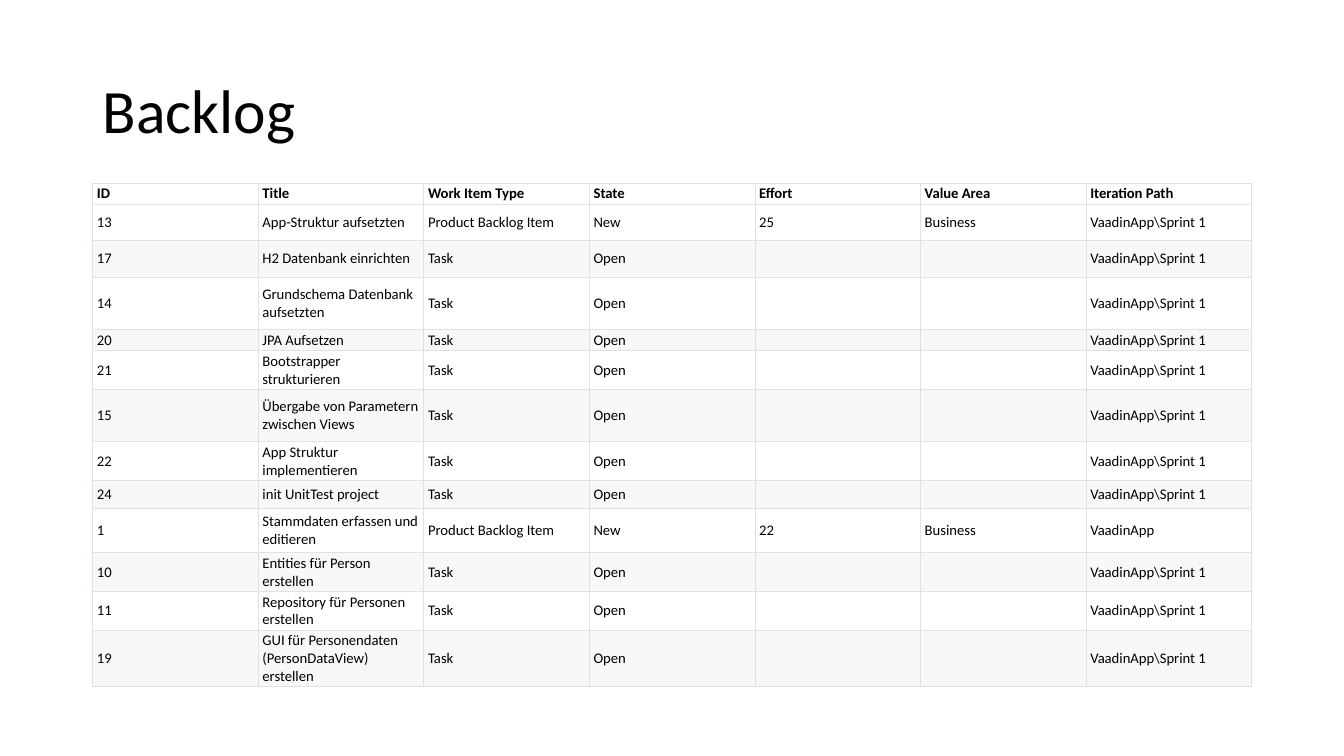
"""Build the Backlog slide: a title above a table of work items."""
from lxml.etree import SubElement
from pptx import Presentation
from pptx.dml.color import RGBColor
from pptx.enum.text import MSO_ANCHOR as Anchor
from pptx.oxml import parse_xml
from pptx.oxml.ns import nsdecls, qn
from pptx.util import Pt

TITLE = "Backlog"
HEADERS = ("ID", "Title", "Work Item Type", "State", "Effort", "Value Area", "Iteration Path")
SPRINT = r"VaadinApp\Sprint 1"


def task(number, title):
    """Return the cells of an open task in the sprint."""
    return number, title, "Task", "Open", "", "", SPRINT


def backlog_item(number, title, effort, iteration):
    """Return the cells of a new product backlog item."""
    return number, title, "Product Backlog Item", "New", effort, "Business", iteration


ITEMS = [
    (14.5, HEADERS),
    (26, backlog_item("13", "App-Struktur aufsetzten", "25", SPRINT)),
    (26, task("17", "H2 Datenbank einrichten")),
    (37.5, task("14", "Grundschema Datenbank aufsetzten")),
    (14.5, task("20", "JPA Aufsetzen")),
    (26, task("21", "Bootstrapper strukturieren")),
    (37.5, task("15", "Übergabe von Parametern zwischen Views")),
    (26, task("22", "App Struktur implementieren")),
    (20, task("24", "init UnitTest project")),
    (31.5, backlog_item("1", "Stammdaten erfassen und editieren", "22", "VaadinApp")),
    (20, task("10", "Entities für Person erstellen")),
    (26, task("11", "Repository für Personen erstellen")),
    (37.5, task("19", "GUI für Personendaten (PersonDataView) erstellen")),
]

THEME = {
    "font": "Calibri", "text": "000000", "row": "FFFFFF", "band": "F6F8FA",
    "border": "DFE2E5", "border_width": 0.75, "title_size": 44, "cell_size": 10.5,
}
LEFT, WIDTH = 66.24, 828
TITLE_TOP, TITLE_HEIGHT = 28.75, 104.4
TABLE_TOP = 130.8


def write(frame, text, size, bold=False, line_spacing=None):
    """Write one formatted paragraph into a text frame."""
    para = frame.paragraphs[0]
    para.line_spacing = line_spacing
    if not text:
        SubElement(para._p, qn("a:endParaRPr"), sz=str(int(size * 100)))
        return
    span = para.add_run()
    span.text = text
    span.font.name = THEME["font"]
    span.font.size = Pt(size)
    span.font.bold = bold
    span.font.color.rgb = RGBColor.from_string(THEME["text"])


def add_borders(cell):
    """Draw a thin line on all four sides of a cell."""
    properties = cell._tc.get_or_add_tcPr()
    for position, side in enumerate("LRTB"):
        properties.insert(position, parse_xml(
            f'<a:ln{side} {nsdecls("a")} w="{int(Pt(THEME["border_width"]))}">'
            f'<a:solidFill><a:srgbClr val="{THEME["border"]}"/></a:solidFill></a:ln{side}>'))


def add_title(page):
    """Place the slide title."""
    box = page.shapes.add_textbox(Pt(LEFT), Pt(TITLE_TOP), Pt(WIDTH), Pt(TITLE_HEIGHT))
    frame = box.text_frame
    frame.word_wrap = True
    frame.vertical_anchor = Anchor.MIDDLE
    write(frame, TITLE, THEME["title_size"], line_spacing=0.9)


def add_backlog(page):
    """Place the table with a tint on every second item."""
    height = sum(row_height for row_height, _ in ITEMS)
    table = page.shapes.add_table(
        len(ITEMS), len(HEADERS), Pt(LEFT), Pt(TABLE_TOP), Pt(WIDTH), Pt(height)).table
    table.first_row = table.horz_banding = False
    for column in table.columns:
        column.width = Pt(WIDTH / len(HEADERS))
    for index, (row_height, values) in enumerate(ITEMS):
        table.rows[index].height = Pt(row_height)
        tinted = index > 0 and index % 2 == 0
        for cell, value in zip(table.rows[index].cells, values):
            cell.margin_left = cell.margin_right = Pt(3)
            cell.margin_top = cell.margin_bottom = Pt(1.25)
            cell.vertical_anchor = Anchor.MIDDLE
            cell.fill.solid()
            cell.fill.fore_color.rgb = RGBColor.from_string(THEME["band" if tinted else "row"])
            add_borders(cell)
            write(cell.text_frame, value, THEME["cell_size"], bold=index == 0)


def main():
    """Create and save the deck."""
    deck = Presentation()
    deck.slide_width, deck.slide_height = Pt(960), Pt(540)
    page = deck.slides.add_slide(deck.slide_layouts[6])
    add_title(page)
    add_backlog(page)
    deck.save("out.pptx")


if __name__ == "__main__":
    main()
